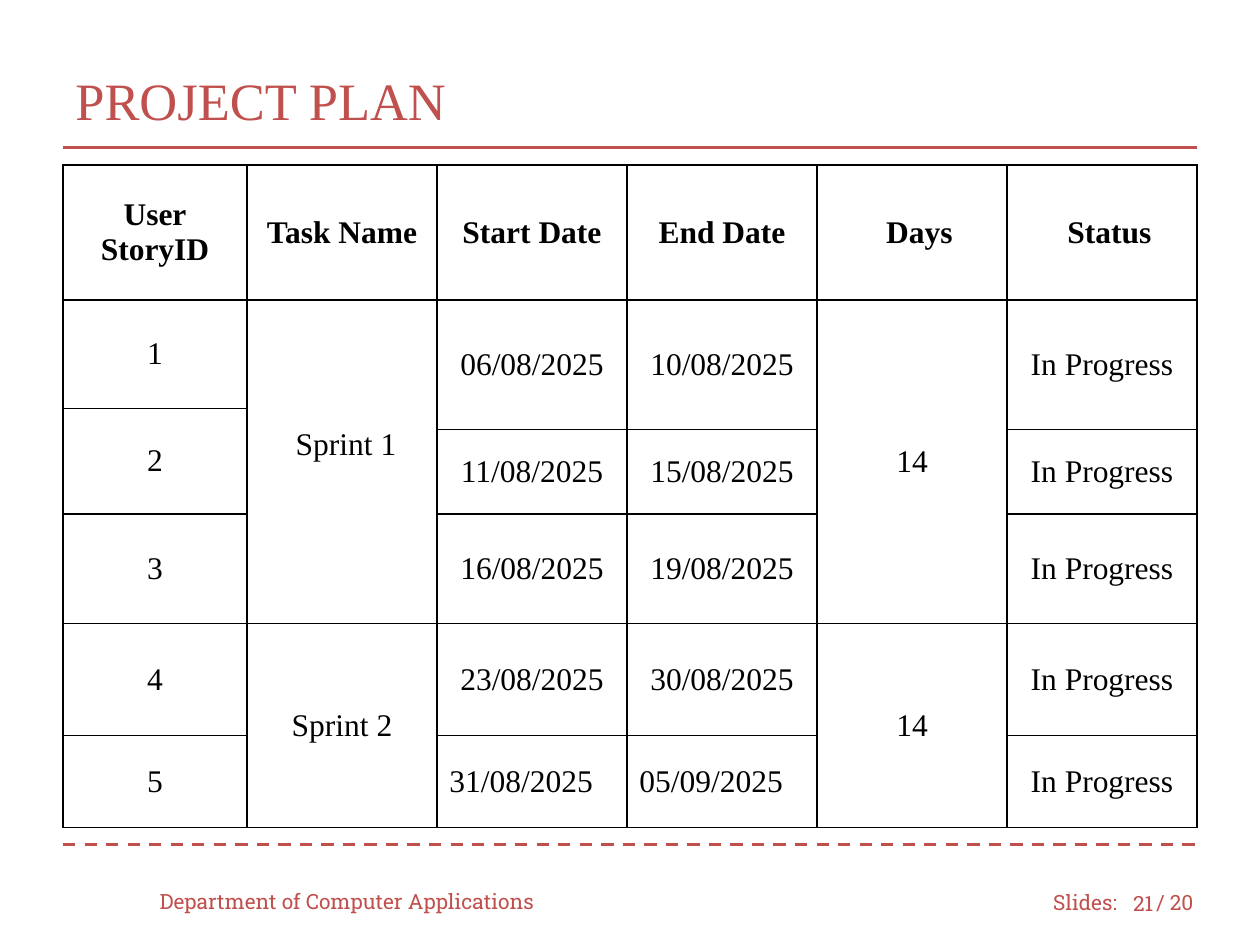
"""Build the project plan slide with its sprint schedule table."""
from dataclasses import dataclass

from lxml import etree
from pptx import Presentation
from pptx.dml.color import RGBColor
from pptx.enum.dml import MSO_LINE
from pptx.enum.shapes import MSO_CONNECTOR
from pptx.enum.text import MSO_ANCHOR, PP_ALIGN
from pptx.oxml.ns import qn
from pptx.util import Cm, Pt

LEFT, CENTER, RIGHT = PP_ALIGN.LEFT, PP_ALIGN.CENTER, PP_ALIGN.RIGHT
MIDDLE = MSO_ANCHOR.MIDDLE
STRAIGHT = MSO_CONNECTOR.STRAIGHT
DASH = MSO_LINE.DASH


@dataclass(frozen=True)
class Theme:
    accent: RGBColor = RGBColor(0xC0, 0x50, 0x4D)
    ink: RGBColor = RGBColor(0, 0, 0)
    paper: RGBColor = RGBColor(0xFF, 0xFF, 0xFF)
    serif: str = "Times New Roman"
    slab: str = "Roboto Slab"
    title_size: int = 30
    table_size: int = 18
    footer_size: int = 12
    rule_width: float = 1.75
    border_width: float = 1


THEME = Theme()
MARGIN, CONTENT_WIDTH = 1.27, 22.86
COLUMN_WIDTHS = [3.71] + [3.83] * 5
ROW_HEIGHTS = [2.72, 2.18, 0.43, 1.7, 2.21, 2.26, 1.85]
CELL_INSET = 0.25
STATUS = "In Progress"
PLAN = [
    ["User\nStoryID", "Task Name", "Start Date", "End Date", "Days", "Status"],
    ["1", "Sprint 1", "06/08/2025", "10/08/2025", "14", STATUS],
    ["2", "", "", "", "", ""],
    ["", "", "11/08/2025", "15/08/2025", "", STATUS],
    ["3", "", "16/08/2025", "19/08/2025", "", STATUS],
    ["4", "Sprint 2", "23/08/2025", "30/08/2025", "14", STATUS],
    ["5", "", "31/08/2025", "05/09/2025", "", STATUS],
]
ROW_SPANS = {
    (1, 1): 4, (1, 2): 2, (1, 3): 2, (1, 4): 4, (1, 5): 2,
    (2, 0): 2, (5, 1): 2, (5, 4): 2,
}
LEFT_ALIGNED = {(6, 2), (6, 3)}
EXTRA_INSETS = {(0, 4): (0.3, 0), (0, 5): (0.3, 0), (1, 1): (0.16, 0.69)}


def write(frame, text, font, size, color, align=LEFT, bold=False):
    """Fill a text frame with one styled run per line."""
    for index, line in enumerate(text.split("\n")):
        paragraph = frame.add_paragraph() if index else frame.paragraphs[0]
        paragraph.alignment = align
        run = paragraph.add_run()
        run.text = line
        run.font.name = font
        run.font.size = Pt(size)
        run.font.bold = bold
        run.font.color.rgb = color


def add_label(slide, text, box, font, size, align=LEFT):
    """Add a vertically centred text box in the accent colour."""
    frame = slide.shapes.add_textbox(*map(Cm, box)).text_frame
    frame.word_wrap = True
    frame.vertical_anchor = MIDDLE
    write(frame, text, font, size, THEME.accent, align)


def add_rule(slide, top, dash=None):
    """Draw a full-width accent rule."""
    rule = slide.shapes.add_connector(
        STRAIGHT, Cm(MARGIN), Cm(top), Cm(MARGIN + CONTENT_WIDTH), Cm(top))
    rule.line.color.rgb = THEME.accent
    rule.line.width = Pt(THEME.rule_width)
    if dash:
        rule.line.dash_style = dash
    etree.SubElement(rule._element.spPr, qn("a:effectLst"))


def style_cell(cell, extra_left=0, extra_bottom=0):
    """Give a cell its borders, fill, insets and anchor."""
    properties = cell._tc.get_or_add_tcPr()
    for side in ("lnL", "lnR", "lnT", "lnB"):
        border = etree.SubElement(
            properties, qn(f"a:{side}"), w=str(Pt(THEME.border_width)))
        fill = etree.SubElement(border, qn("a:solidFill"))
        etree.SubElement(fill, qn("a:srgbClr"), val=str(THEME.ink))
    cell.fill.solid()
    cell.fill.fore_color.rgb = THEME.paper
    cell.margin_left = Cm(CELL_INSET + extra_left)
    cell.margin_bottom = Cm(CELL_INSET + extra_bottom)
    cell.margin_right = cell.margin_top = Cm(CELL_INSET)
    cell.vertical_anchor = MIDDLE


def add_plan(slide):
    """Add the schedule table with its merged sprint cells."""
    table = slide.shapes.add_table(
        len(PLAN), len(COLUMN_WIDTHS), Cm(MARGIN), Cm(3.33),
        Cm(CONTENT_WIDTH), Cm(sum(ROW_HEIGHTS))).table
    table.first_row = table.horz_banding = False
    for column, width in zip(table.columns, COLUMN_WIDTHS):
        column.width = Cm(width)
    for row, height in zip(table.rows, ROW_HEIGHTS):
        row.height = Cm(height)
    for r, entries in enumerate(PLAN):
        for c, entry in enumerate(entries):
            cell = table.cell(r, c)
            style_cell(cell, *EXTRA_INSETS.get((r, c), ()))
            if entry:
                align = LEFT if (r, c) in LEFT_ALIGNED else CENTER
                write(cell.text_frame, entry, THEME.serif, THEME.table_size,
                      THEME.ink, align, bold=r == 0)
    for (r, c), span in ROW_SPANS.items():
        table.cell(r, c).merge(table.cell(r + span - 1, c))


def add_footer(slide):
    """Add the department name and the slide count."""
    for text, box, align in (
        ("Slides:", (20.98, 17.68, 1.91, 1.02), LEFT),
        ("/ 20", (23.06, 17.68, 1.47, 1.02), LEFT),
        ("Department of Computer Applications", (2.97, 17.65, 8.46, 1.02), LEFT),
        ("21", (22.43, 17.7, 1.07, 1.02), RIGHT),
    ):
        add_label(slide, text, box, THEME.slab, THEME.footer_size, align)


def main():
    """Assemble and save the slide."""
    deck = Presentation()
    deck.slide_width, deck.slide_height = Cm(25.4), Cm(19.05)
    slide = deck.slides.add_slide(deck.slide_layouts[6])
    add_rule(slide, 17.02, DASH)
    add_rule(slide, 2.97)
    add_label(slide, "PROJECT PLAN", (MARGIN, 0.84, CONTENT_WIDTH, 2.34),
              THEME.serif, THEME.title_size)
    add_footer(slide)
    add_plan(slide)
    deck.save("out.pptx")


if __name__ == "__main__":
    main()
